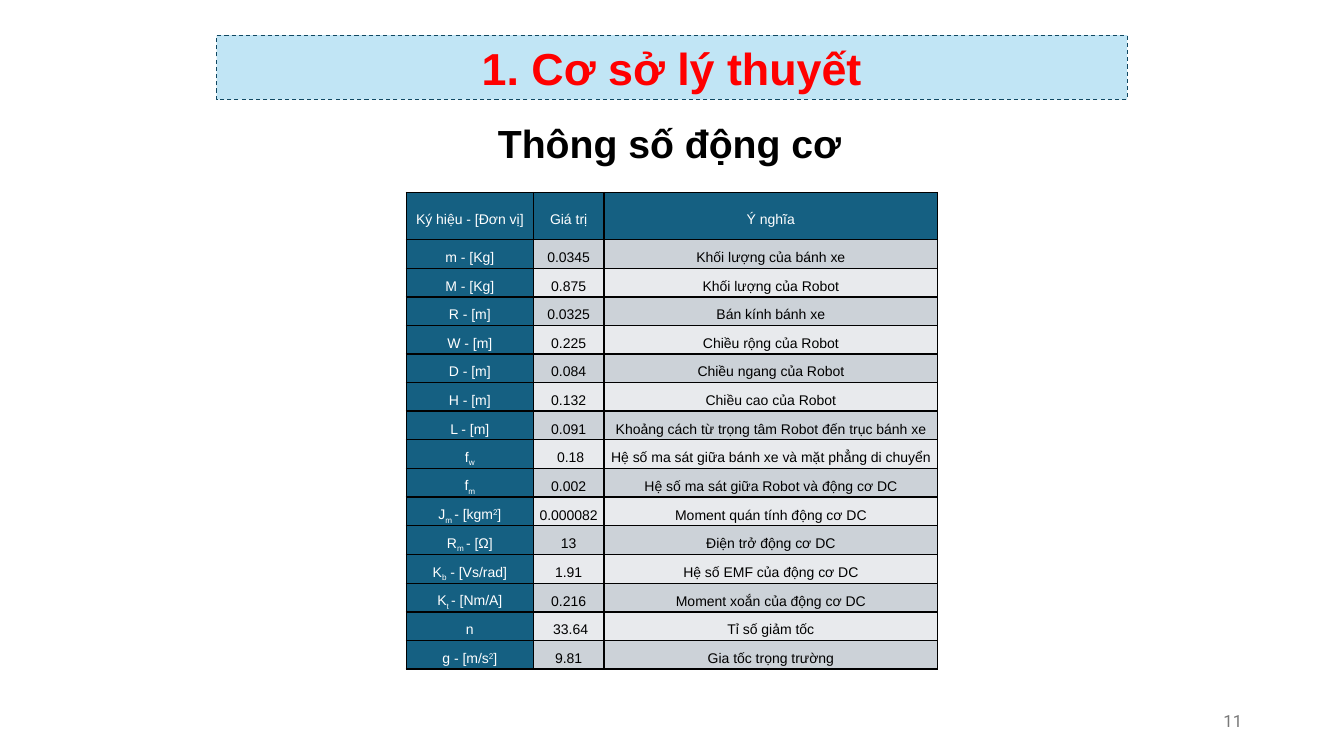
from dataclasses import dataclass

from lxml import etree
from pptx import Presentation
from pptx import util as u
from pptx.dml.color import RGBColor
from pptx.enum import dml, shapes, text
from pptx.oxml import ns


@dataclass(frozen=True)
class Theme:
    font: str = "Arial"
    number_font: str = "Roboto"
    banner_fill: str = "C1E5F5"
    banner_line: str = "104862"
    banner_text: str = "FF0000"
    ink: str = "000000"
    muted: str = "797979"
    header_fill: str = "156082"
    header_text: str = "FFFFFF"
    bands: tuple = ("CCD2D8", "E8EAED")
    title_size: int = 32
    subtitle_size: int = 28
    number_size: int = 12
    table_size: int = 10


THEME = Theme()
SUB, SUPER = -25000, 30000
HEADERS = ("Ký hiệu - [Đơn vị]", "Giá trị", "Ý nghĩa")
PARAMETERS = [
    ("m - [Kg]", "0.0345", "Khối lượng của bánh xe"),
    ("M - [Kg]", "0.875", "Khối lượng của Robot"),
    ("R - [m]", "0.0325", "Bán kính bánh xe"),
    ("W - [m]", "0.225", "Chiều rộng của Robot"),
    ("D - [m]", "0.084", "Chiều ngang của Robot"),
    ("H - [m]", "0.132", "Chiều cao của Robot"),
    ("L - [m]", "0.091", "Khoảng cách từ trọng tâm Robot đến trục bánh xe"),
    (("f", ("w", SUB)), " 0.18", "Hệ số ma sát giữa bánh xe và mặt phẳng di chuyển"),
    (("f", ("m", SUB)), "0.002", "Hệ số ma sát giữa Robot và động cơ DC"),
    (("J", ("m ", SUB), "- [kgm", ("2", SUPER), "]"), "0.000082",
     "Moment quán tính động cơ DC"),
    (("R", ("m ", SUB), "- [Ω]"), "13", "Điện trở động cơ DC"),
    (("K", ("b", SUB), " - [Vs/rad]"), "1.91", "Hệ số EMF của động cơ DC"),
    (("K", ("t ", SUB), "- [Nm/A]"), "0.216", "Moment xoắn của động cơ DC"),
    ("n", " 33.64", "Tỉ số giảm tốc"),
    (("g - [m/s", ("2", SUPER), "]"), "9.81", "Gia tốc trọng trường"),
]


def rgb(value):
    return RGBColor.from_string(value)


def add_run(p, content, size, color, bold=False, font=THEME.font, baseline=0):
    r = p.add_run()
    r.text = content
    r.font.size = u.Pt(size)
    r.font.name = font
    r.font.bold = bold
    r.font.color.rgb = rgb(color)
    if baseline:
        r.font._element.set("baseline", str(baseline))


def add_banner(s, box, title):
    sp = s.shapes.add_shape(shapes.MSO_SHAPE.RECTANGLE, *map(u.Inches, box))
    sp.shadow.inherit = False
    sp.fill.solid()
    sp.fill.fore_color.rgb = rgb(THEME.banner_fill)
    sp.line.color.rgb = rgb(THEME.banner_line)
    sp.line.width = u.Pt(0.75)
    sp.line.dash_style = dml.MSO_LINE.DASH
    tf = sp.text_frame
    tf.vertical_anchor = text.MSO_ANCHOR.MIDDLE
    p = tf.paragraphs[0]
    p.alignment = text.PP_ALIGN.CENTER
    add_run(p, title, THEME.title_size, THEME.banner_text, bold=True)


def add_subtitle(s, box, subtitle):
    tf = s.shapes.add_textbox(*map(u.Inches, box)).text_frame
    tf.word_wrap = False
    add_run(tf.paragraphs[0], subtitle, THEME.subtitle_size, THEME.ink, bold=True)


def add_page_number(s, box, number):
    tf = s.shapes.add_textbox(*map(u.Inches, box)).text_frame
    tf.word_wrap = True
    tf.vertical_anchor = text.MSO_ANCHOR.MIDDLE
    p = tf.paragraphs[0]
    p.alignment = text.PP_ALIGN.RIGHT
    add_run(p, number, THEME.number_size, THEME.muted, font=THEME.number_font)


def add_borders(cell):
    tc_pr = cell._tc.get_or_add_tcPr()
    for side in ("a:lnL", "a:lnR", "a:lnT", "a:lnB"):
        ln = etree.SubElement(tc_pr, ns.qn(side), w=str(u.Pt(1)))
        fill = etree.SubElement(ln, ns.qn("a:solidFill"))
        etree.SubElement(fill, ns.qn("a:srgbClr"), val=THEME.ink)


def fill_cell(cell, content, fill, color):
    add_borders(cell)
    cell.fill.solid()
    cell.fill.fore_color.rgb = rgb(fill)
    cell.vertical_anchor = text.MSO_ANCHOR.MIDDLE
    cell.margin_left = cell.margin_right = u.Inches(0.05)
    cell.margin_top = cell.margin_bottom = 0
    p = cell.text_frame.paragraphs[0]
    p.alignment = text.PP_ALIGN.CENTER
    p.line_spacing = 1.5
    for part in (content,) if isinstance(content, str) else content:
        words, baseline = (part, 0) if isinstance(part, str) else part
        add_run(p, words, THEME.table_size, color, baseline=baseline)


def add_parameter_table(s, box, headers, parameters):
    left, top, width, height = box
    rows = [headers, *parameters]
    frame = s.shapes.add_table(len(rows), len(headers), *map(u.Inches, box))
    table = frame.table
    table.horz_banding = False
    symbol_width, value_width, header_height = 1.26, 0.7, 0.47
    widths = (symbol_width, value_width, width - symbol_width - value_width)
    for column, column_width in zip(table.columns, widths):
        column.width = u.Inches(column_width)
    row_height = (height - header_height) / len(parameters)
    for i, row in enumerate(rows):
        table.rows[i].height = u.Inches(row_height if i else header_height)
        for j, content in enumerate(row):
            if i == 0 or j == 0:
                fill, color = THEME.header_fill, THEME.header_text
            else:
                fill, color = THEME.bands[(i - 1) % 2], THEME.ink
            fill_cell(table.cell(i, j), content, fill, color)


def build_parameter_slide(prs):
    s = prs.slides.add_slide(prs.slide_layouts[6])
    add_banner(s, (2.15, 0.35, 9.03, 0.64), "1. Cơ sở lý thuyết")
    add_subtitle(s, (4.84, 1.13, 3.65, 0.57), "Thông số động cơ")
    add_page_number(s, (9.42, 6.95, 3, 0.4), "11")
    add_parameter_table(s, (4.03, 1.91, 5.27, 4.72), HEADERS, PARAMETERS)


def main():
    prs = Presentation()
    prs.slide_width = u.Inches(13.33)
    prs.slide_height = u.Inches(7.5)
    build_parameter_slide(prs)
    prs.save("out.pptx")


if __name__ == "__main__":
    main()
